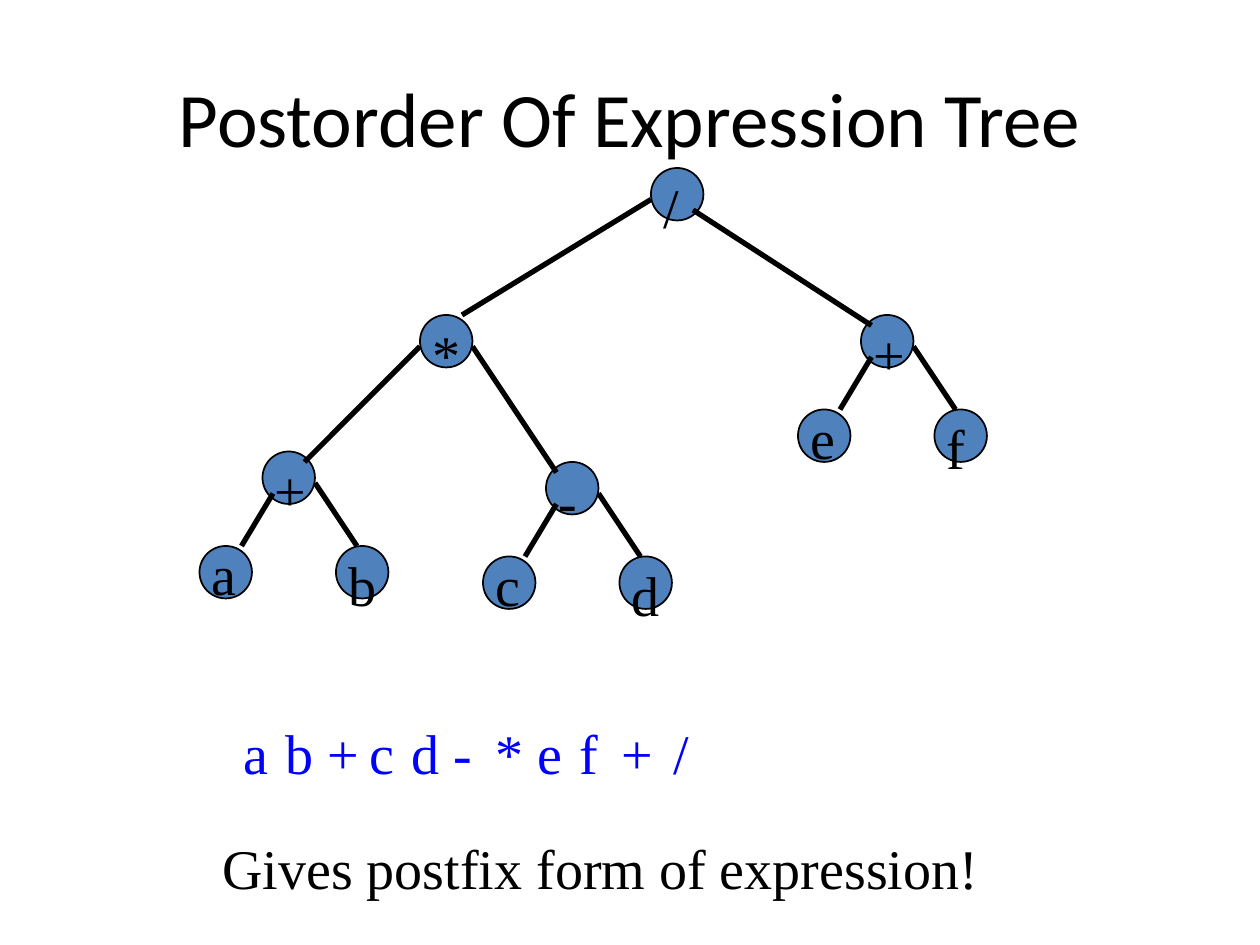
import pptx
import pptx.dml.color
import pptx.enum.shapes
import pptx.enum.text
import pptx.oxml.ns
import pptx.util
from lxml import etree

Pt = pptx.util.Pt
NODE = 30  # node diameter
LABEL_HEIGHT = 46
LETTER_STEP = 24
BLACK, BLUE, NODE_FILL = "000000", "0000FF", "4F81BD"


def color(value):
    return pptx.dml.color.RGBColor.from_string(value)


def add_label(shapes, text, left, top, width=NODE, text_color=BLACK):
    box = shapes.add_textbox(Pt(left), Pt(top), Pt(width), Pt(LABEL_HEIGHT))
    frame = box.text_frame
    frame.word_wrap = True
    frame.margin_top, frame.margin_bottom = Pt(8.5), 0
    frame.text = text
    font = frame.paragraphs[0].runs[0].font
    font.name, font.size = "Times New Roman", Pt(32)
    font.color.rgb = color(text_color)


def add_node(shapes, text, left, top, label_rise=6):
    circle = shapes.add_shape(pptx.enum.shapes.MSO_SHAPE.OVAL,
                              Pt(left), Pt(top), Pt(NODE), Pt(NODE))
    circle.shadow.inherit = False
    circle.fill.solid()
    circle.fill.fore_color.rgb = color(NODE_FILL)
    circle.line.color.rgb = color(BLACK)
    circle.line.width = Pt(1)
    add_label(shapes, text, left, top - label_rise)


def add_branch(shapes, left, top, start, end):
    """Draw a line between two offsets from the parent node's corner."""
    line = shapes.add_connector(
        pptx.enum.shapes.MSO_CONNECTOR.STRAIGHT,
        Pt(left + start[0]), Pt(top + start[1]),
        Pt(left + end[0]), Pt(top + end[1]))
    line.line.color.rgb = color(BLACK)
    line.line.width = Pt(3)
    etree.SubElement(line._element.spPr, pptx.oxml.ns.qn("a:effectLst"))


def add_leaf_pair(shapes, operator, operands, left, top):
    """Draw an operator node with its two operand leaves."""
    add_node(shapes, operator, left, top)
    add_node(shapes, operands[0], left - 36, top + 54, label_rise=12)
    add_node(shapes, operands[1], left + 42, top + 54)
    add_branch(shapes, left, top, (6, 24), (-12, 54))
    add_branch(shapes, left, top, (30, 18), (54, 54))


def add_tree(slide, left, top):
    """Draw the expression tree; left and top place the root node."""
    shapes = slide.shapes.add_group_shape().shapes
    # Lowest operators with their operands
    add_leaf_pair(shapes, "+", "ab", left - 222, top + 162)
    add_leaf_pair(shapes, "-", "cd", left - 60, top + 168)
    add_leaf_pair(shapes, "+", "ef", left + 120, top + 84)
    # Product
    product_left, product_top = left - 132, top + 84
    add_node(shapes, "*", product_left, product_top)
    add_branch(shapes, product_left, product_top, (0, 18), (-66, 84))
    add_branch(shapes, product_left, product_top, (30, 18), (78, 90))
    # Root
    add_node(shapes, "/", left, top)
    add_branch(shapes, left, top, (0, 18), (-108, 84))
    add_branch(shapes, left, top, (24, 24), (126, 90))


def add_postfix(slide, symbols, left, top):
    """Write one symbol per step, the last one set slightly apart."""
    for index, symbol in enumerate(symbols):
        gap = 6 if index == len(symbols) - 1 else 0
        add_label(slide.shapes, symbol, left + index * LETTER_STEP + gap, top,
                  text_color=BLUE)


def set_title(slide, text, left, top, width, height):
    title = slide.shapes.title
    title.left, title.top = Pt(left), Pt(top)
    title.width, title.height = Pt(width), Pt(height)
    frame = title.text_frame
    frame.text = text
    frame.vertical_anchor = pptx.enum.text.MSO_ANCHOR.MIDDLE
    paragraph = frame.paragraphs[0]
    paragraph.alignment = pptx.enum.text.PP_ALIGN.CENTER
    font = paragraph.runs[0].font
    font.name, font.size = "Calibri", Pt(44)
    font.color.rgb = color(BLACK)


def main():
    presentation = pptx.Presentation()
    presentation.slide_width, presentation.slide_height = Pt(720), Pt(540)
    slide = presentation.slides.add_slide(presentation.slide_layouts[5])
    set_title(slide, "Postorder Of Expression Tree", 36, 21.6, 648, 90)
    add_tree(slide, 372, 96)
    add_label(slide.shapes, "Gives postfix form of expression!", 120, 468, width=462)
    add_postfix(slide, "ab+cd-*ef+/", 132, 402)
    presentation.save("out.pptx")


if __name__ == "__main__":
    main()
